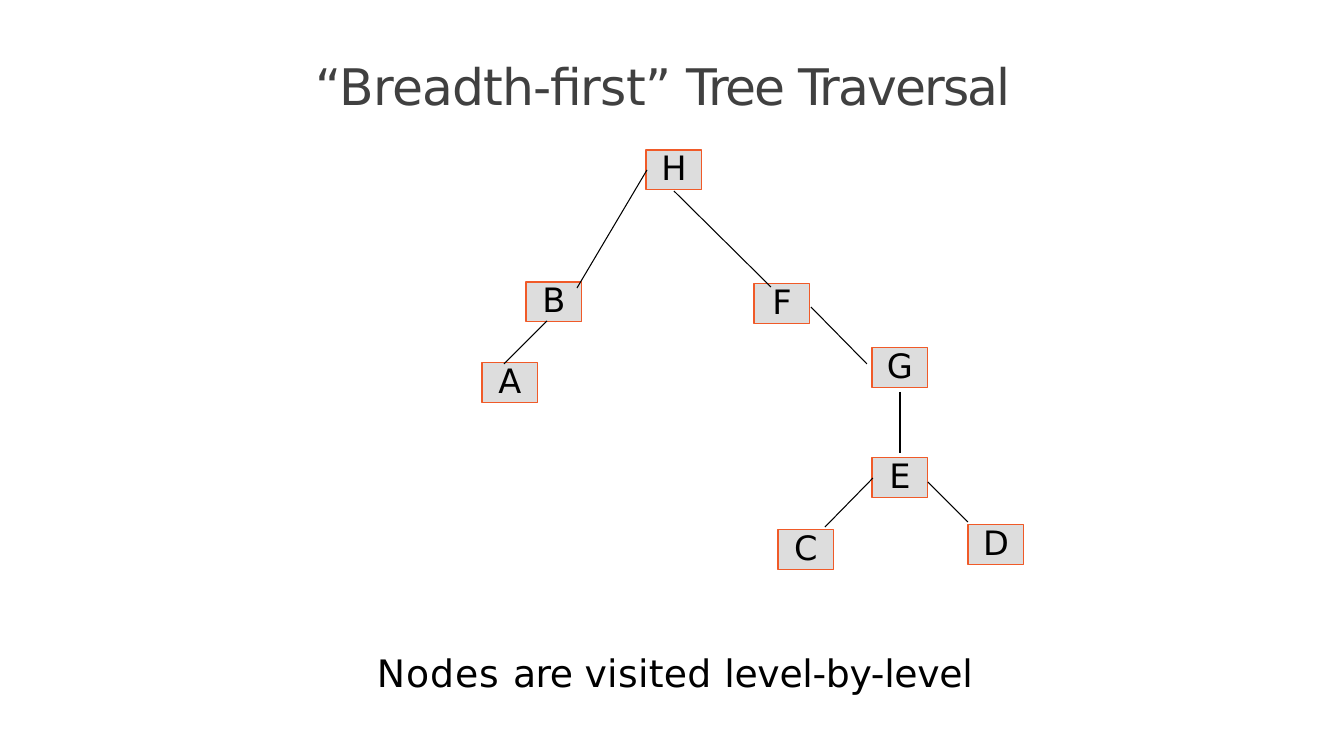
import pptx
import pptx.util
import pptx.dml.color
import pptx.enum.shapes
import pptx.enum.text
import pptx.oxml.ns
import lxml.etree

SCALE = 914400 / 75.6
FONT = "DejaVu Sans"
COLORS = {"title": "404040", "text": "000000", "node": "DDDDDD",
          "outline": "F05A28", "edge": "000000"}
NODE_SIZE = (56, 40)
NODES = {"H": (164, 0), "B": (44, 132), "F": (272, 134), "A": (0, 213),
         "G": (390, 198), "E": (390, 308), "C": (296, 380), "D": (486, 375)}
EDGES = {"HB": (165, 20, 95, 138), "HF": (192, 41, 289, 137),
         "BA": (65, 171, 22, 214), "FG": (329, 157, 385, 214),
         "GE": (418, 242, 418, 303), "EC": (391, 328, 343, 377),
         "ED": (446, 332, 486, 372)}


def px(*lengths):
    return [pptx.util.Emu(round(length * SCALE)) for length in lengths]


def color(name):
    return pptx.dml.color.RGBColor.from_string(COLORS[name])


def apply(target, **values):
    for attribute, value in values.items():
        setattr(target, attribute, value)


def write(frame, runs, size, color_name, **frame_format):
    """Fill a text frame with (text, letter spacing in points) runs."""
    margins = dict(margin_left=0, margin_top=0, margin_right=0, margin_bottom=0)
    apply(frame, **{**margins, **frame_format})
    paragraph = frame.paragraphs[0]
    for text, spacing in runs:
        run = paragraph.add_run()
        run.text = text
        apply(run.font, name=FONT, size=pptx.util.Pt(size))
        run.font.color.rgb = color(color_name)
        if spacing:
            run.font._element.set("spc", str(round(spacing * 100)))
    return paragraph


def add_text_line(slide, box, runs, size, color_name):
    text_box = slide.shapes.add_textbox(*px(*box))
    paragraph = write(text_box.text_frame, runs, size, color_name,
                      word_wrap=True, margin_top=px(1)[0])
    paragraph.space_before = pptx.util.Pt(1)


def add_node(slide, letter, left, top):
    node = slide.shapes.add_shape(pptx.enum.shapes.MSO_SHAPE.RECTANGLE,
                                  *px(left, top, *NODE_SIZE))
    node.shadow.inherit = False
    node.fill.solid()
    node.fill.fore_color.rgb = color("node")
    node.line.color.rgb = color("outline")
    node.line.width = pptx.util.Pt(1)
    # The bottom inset lifts the letter slightly above the middle
    paragraph = write(node.text_frame, [(letter, 0)], 32, "text",
                      word_wrap=False, margin_bottom=px(6)[0],
                      vertical_anchor=pptx.enum.text.MSO_ANCHOR.MIDDLE)
    paragraph.alignment = pptx.enum.text.PP_ALIGN.CENTER


def add_edge(slide, *ends):
    edge = slide.shapes.add_connector(
        pptx.enum.shapes.MSO_CONNECTOR.STRAIGHT, *px(*ends))
    edge.line.color.rgb = color("edge")
    edge.line.width = pptx.util.Pt(1)
    lxml.etree.SubElement(edge._element.spPr, pptx.oxml.ns.qn("a:effectLst"))


def add_tree(slide, left, top):
    for letter, (x, y) in NODES.items():
        add_node(slide, letter, left + x, top + y)
    for x1, y1, x2, y2 in EDGES.values():
        add_edge(slide, left + x1, top + y1, left + x2, top + y2)


presentation = pptx.Presentation()
apply(presentation, slide_width=px(1344)[0], slide_height=px(756)[0])
slide = presentation.slides.add_slide(presentation.slide_layouts[6])

# Title
add_text_line(slide, (316, 54, 712, 63),
              [("“Breadth-first” ", -0.8), ("Tree Traversal", -1.8)],
              48, "title")

# Tree
add_tree(slide, 482, 150)

# Caption
add_text_line(slide, (377, 649, 596, 48),
              [("Nodes ", 0.9), ("are ", -0.5), ("visited ", 0.3),
               ("level-by-level", -0.3)], 36, "text")

presentation.save("out.pptx")
